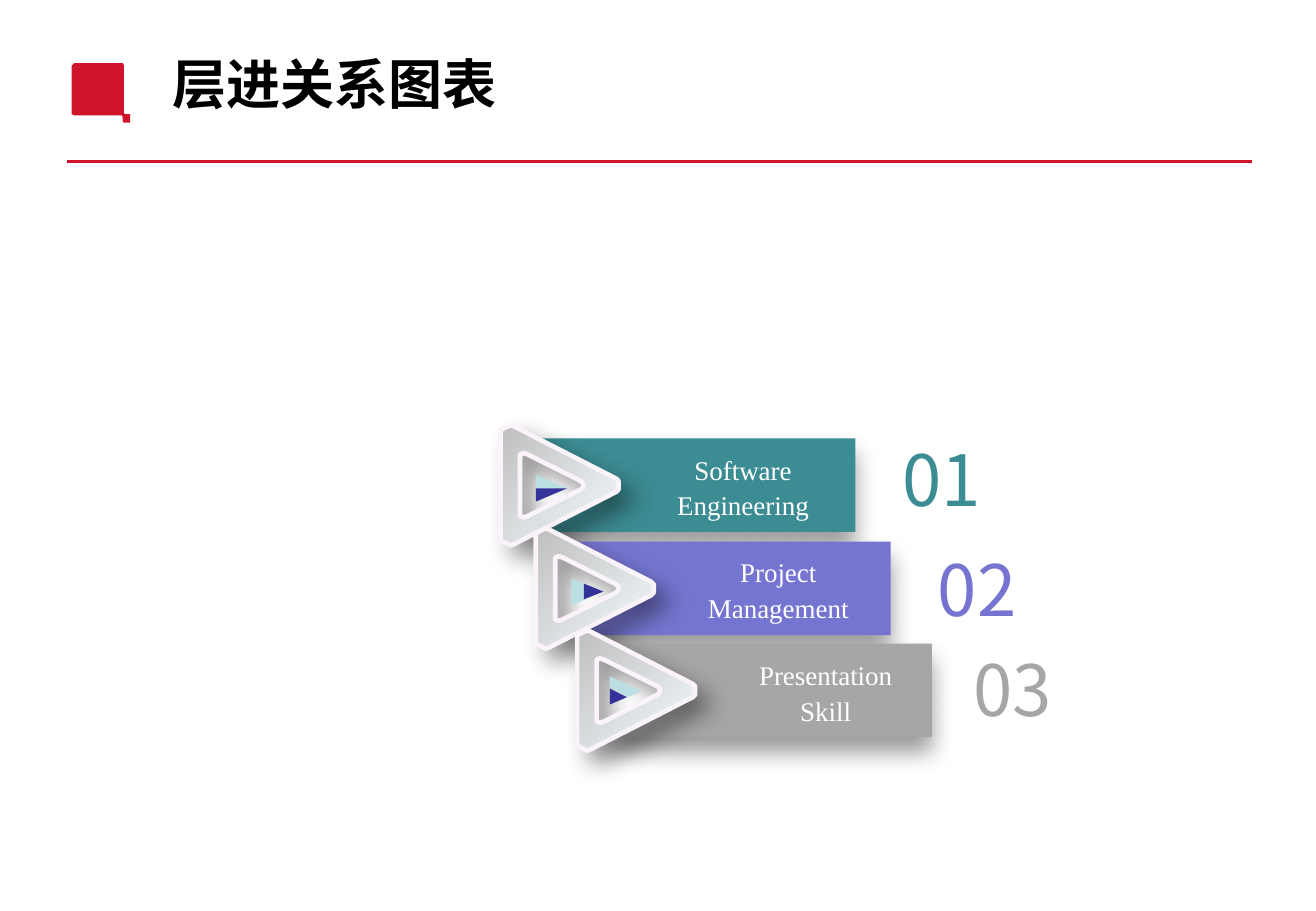
from lxml import etree
from pptx import Presentation
from pptx.dml.color import RGBColor
from pptx.enum.shapes import MSO_CONNECTOR, MSO_SHAPE
from pptx.enum.text import MSO_ANCHOR, PP_ALIGN
from pptx.oxml.ns import qn
from pptx.util import Inches, Pt

RED = RGBColor(0xCF, 0x14, 0x2B)
BLACK = RGBColor(0, 0, 0)
WHITE = RGBColor(0xFF, 0xFF, 0xFF)
TEAL = RGBColor(0x3C, 0x8C, 0x93)
VIOLET = RGBColor(0x75, 0x75, 0xD1)
GREY = RGBColor(0xA6, 0xA6, 0xA6)
SILVER = RGBColor(0xBF, 0xBF, 0xBF)
ICE = RGBColor(0xF4, 0xFB, 0xFE)
RIM = RGBColor(0xFB, 0xF3, 0xFA)
AQUA = RGBColor(0xBB, 0xE0, 0xE3)
NAVY = RGBColor(0x33, 0x33, 0x99)

RECT = MSO_SHAPE.RECTANGLE
TRIANGLE = MSO_SHAPE.ISOSCELES_TRIANGLE
RIGHT_TRIANGLE = MSO_SHAPE.RIGHT_TRIANGLE
TRAPEZOID = MSO_SHAPE.TRAPEZOID
STRAIGHT = MSO_CONNECTOR.STRAIGHT
MIDDLE = MSO_ANCHOR.MIDDLE
LEFT, CENTER = PP_ALIGN.LEFT, PP_ALIGN.CENTER

SANS, SERIF = "Noto Sans CJK JP", "Times New Roman"

prs = Presentation()
prs.slide_width, prs.slide_height = Inches(10.83), Inches(7.5)
slide = prs.slides.add_slide(prs.slide_layouts[6])
shapes = slide.shapes


def finish(s, color, blur=0, dist=0, angle=0):
    s.fill.solid()
    s.fill.fore_color.rgb = color
    s.line.fill.background()
    s.shadow.inherit = False
    if blur:
        effects = s._element.spPr.find(qn("a:effectLst"))
        shadow = etree.SubElement(
            effects, qn("a:outerShdw"), blurRad=str(Pt(blur)), dist=str(Pt(dist)),
            dir=str(angle * 60000), algn="ctr", rotWithShape="0")
        tint = etree.SubElement(shadow, qn("a:srgbClr"), val="000000")
        etree.SubElement(tint, qn("a:alpha"), val="40000")


def add_text(text, x, y, w, h, font, size, color, align=LEFT, spacing=1.0, bold=False):
    tf = shapes.add_textbox(Inches(x), Inches(y), Inches(w), Inches(h)).text_frame
    tf.word_wrap = True
    tf.vertical_anchor = MIDDLE
    p = tf.paragraphs[0]
    p.text = text
    p.alignment = align
    p.line_spacing = spacing
    r = p.runs[0]
    r.font.name = font
    r.font.size = Pt(size)
    r.font.bold = bold
    r.font.color.rgb = color
    etree.SubElement(r._r.get_or_add_rPr(), qn("a:ea"), typeface=font)


rule = shapes.add_connector(STRAIGHT, Inches(0.55), Inches(1.33), Inches(10.3), Inches(1.33))
rule.line.color.rgb = RED
rule.line.width = Pt(2.25)
etree.SubElement(rule._element.spPr, qn("a:effectLst"))

emblem = [(0.61, 0.52), (1.01, 0.52), (1.02, 0.54), (1.02, 0.93), (1.03, 0.94), (1.07, 0.94),
          (1.07, 1.01), (1.02, 1.01), (1.01, 1), (1.01, 0.96), (1, 0.95), (0.61, 0.95),
          (0.59, 0.94), (0.59, 0.54)]
aqua_facet = [(5.28, 5.69), (5.17, 5.74), (5.02, 5.66), (5.02, 5.57)]
navy_facet = [(5.02, 5.67), (5.16, 5.74), (5.02, 5.8)]

add_text("层进关系图表", 1.32, 0.33, 6.72, 0.7, SANS, 32, BLACK, bold=True)

frame_outer = [(0.08, 0.99), (0.11, 0.98), (0.95, 0.55), (0.97, 0.53), (0.97, 0.46),
               (0.95, 0.44), (0.11, 0.01), (0.08, 0), (0, 0.04), (0, 0.95)]
frame_inner = [(0.16, 0.75), (0.16, 0.24), (0.19, 0.23), (0.22, 0.24), (0.66, 0.46),
               (0.68, 0.48), (0.68, 0.51), (0.66, 0.53), (0.22, 0.75), (0.19, 0.76)]

steps = [
    ("Software Engineering", "01", TEAL, 4.41, 3.61, 5.28, 3.65, 7.33, 3.65),
    ("Project Management", "02", VIOLET, 4.70, 4.46, 5.57, 4.49, 7.62, 4.56),
    ("Presentation Skill", "03", GREY, 5.04, 5.30, 5.96, 5.34, 7.91, 5.38),
]

for label, number, color, x, y, label_x, label_y, number_x, number_y in steps:
    bar = shapes.add_shape(RECT, Inches(x), Inches(y), Inches(2.63), Inches(0.77))
    finish(bar, color, 14, 9, 90)

    core = shapes.add_shape(TRIANGLE, Inches(x - 0.13), Inches(y + 0.09), Inches(0.57), Inches(0.59))
    core.rotation = 90
    finish(core, WHITE)

    outer, inner = [[(Inches(x - 0.29 + dx), Inches(y - 0.11 + dy)) for dx, dy in ring]
                    for ring in (frame_outer, frame_inner)]
    fb = shapes.build_freeform(*outer[0])
    fb.add_line_segments(outer[1:])
    fb.move_to(*inner[0])
    fb.add_line_segments(inner[1:])
    frame = fb.convert_to_shape()
    finish(frame, SILVER, 14, 10, 45)
    frame.fill.gradient()
    frame.fill.gradient_angle = 135
    for stop, tone, position in zip(frame.fill.gradient_stops, (ICE, SILVER), (0, 1)):
        stop.color.rgb = tone
        stop.position = position
    frame.line.color.rgb = RIM
    frame.line.width = Pt(2.75)

gems = [
    (RIGHT_TRIANGLE, 4.41, 3.91, 0.26, 0.11, 0, AQUA),
    (RIGHT_TRIANGLE, 4.41, 4.02, 0.26, 0.11, 0, NAVY),
    (TRAPEZOID, 4.65, 4.82, 0.22, 0.11, 90, AQUA),
    (TRIANGLE, 4.82, 4.79, 0.13, 0.16, 90, NAVY),
]
for kind, x, y, w, h, angle, color in gems:
    s = shapes.add_shape(kind, Inches(x), Inches(y), Inches(w), Inches(h))
    s.rotation = angle
    finish(s, color)
    if kind == TRAPEZOID:
        s.adjustments[0] = 0.46
    if kind == RIGHT_TRIANGLE and color == NAVY:
        s._element.spPr.get_or_add_xfrm().set("flipV", "1")

for outline, color in ((emblem, RED), (aqua_facet, AQUA), (navy_facet, NAVY)):
    points = [(Inches(x), Inches(y)) for x, y in outline]
    fb = shapes.build_freeform(*points[0])
    fb.add_line_segments(points[1:])
    finish(fb.convert_to_shape(), color)

for label, number, color, x, y, label_x, label_y, number_x, number_y in steps:
    add_text(label, label_x, label_y, 1.67, 0.7, SERIF, 16, WHITE, CENTER, 1.1)
    add_text(number, number_x, number_y, 0.95, 0.7, SANS, 41.9, color, spacing=0.8)

prs.save("out.pptx")
